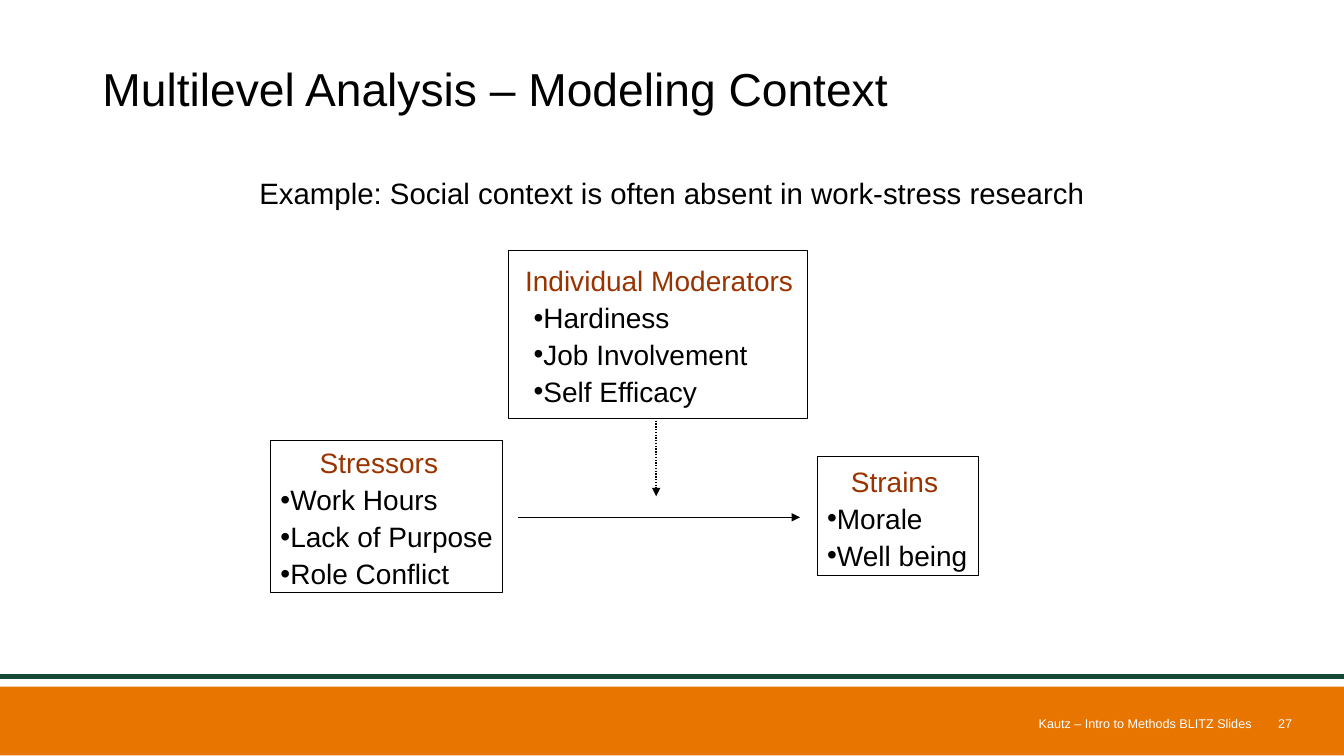
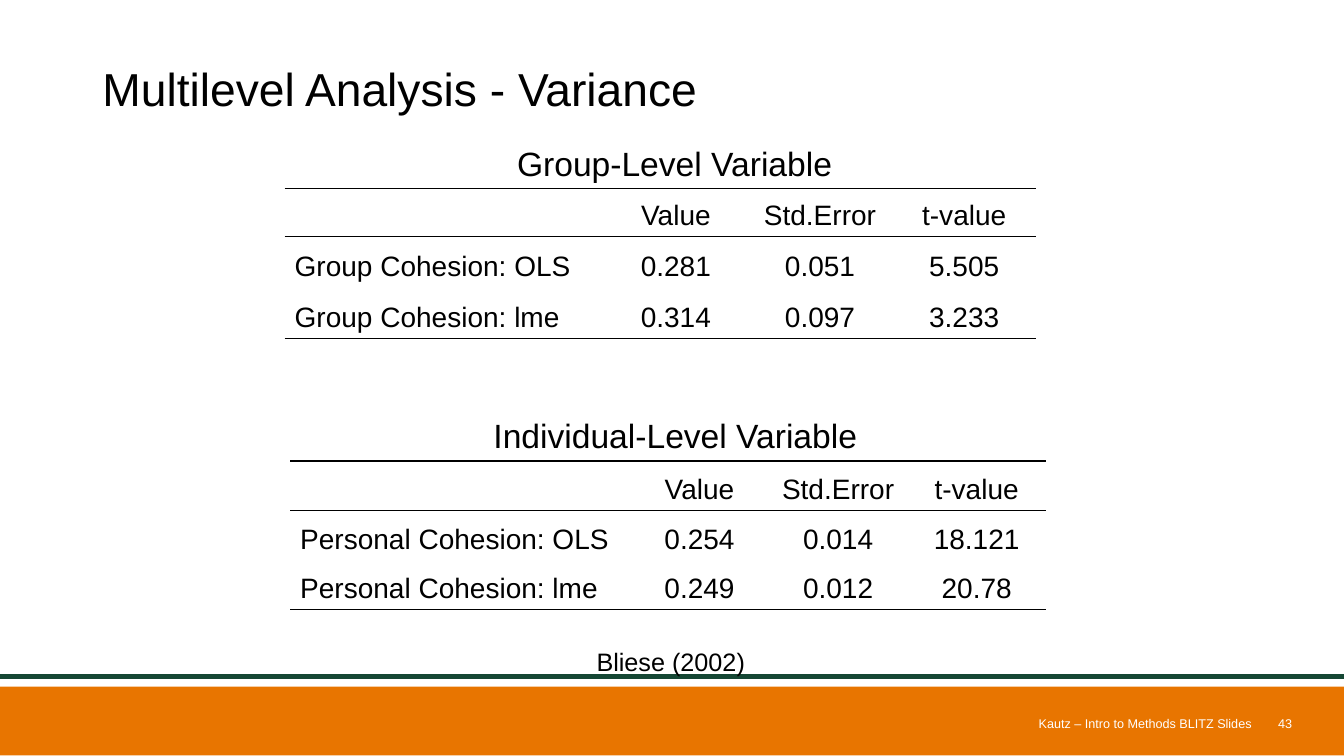
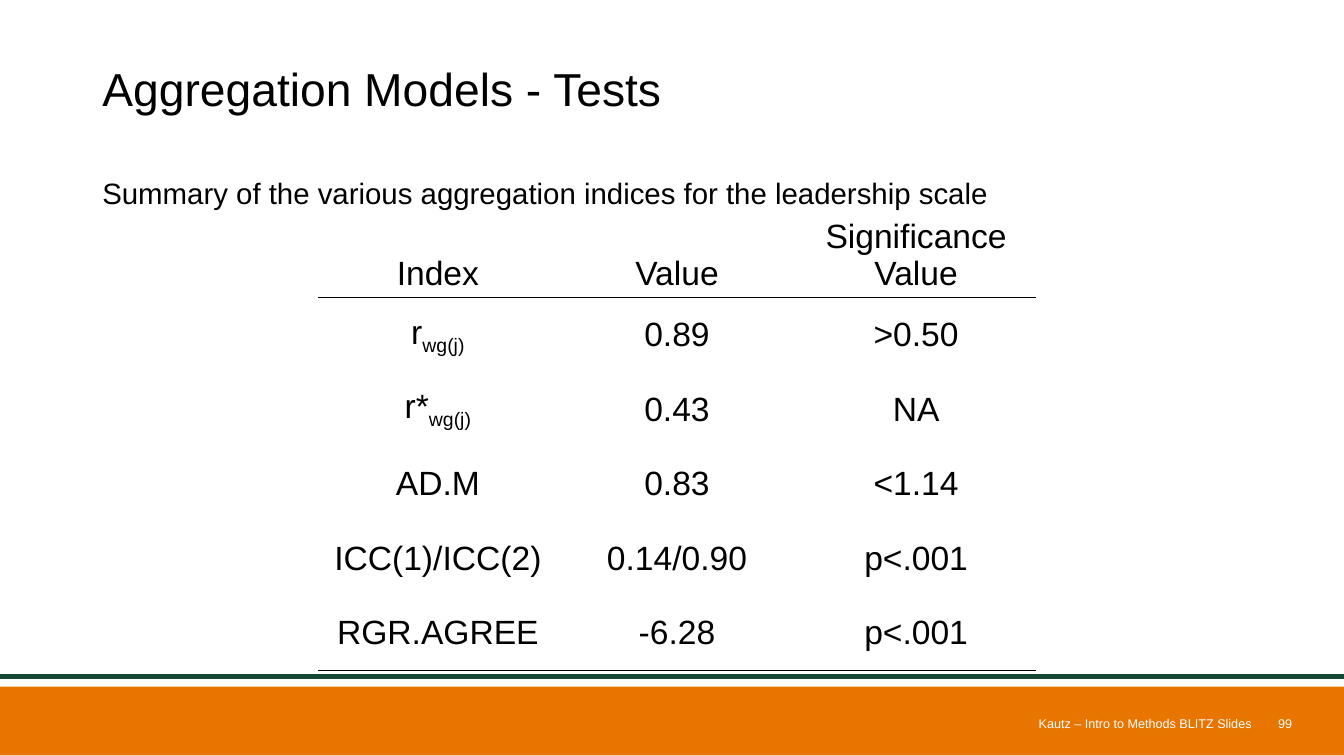
from dataclasses import dataclass

from lxml.etree import SubElement
from pptx import Presentation
from pptx.dml.color import RGBColor
from pptx.enum.dml import MSO_LINE
from pptx.enum.shapes import MSO_CONNECTOR, MSO_SHAPE
from pptx.enum.text import MSO_ANCHOR, MSO_AUTO_SIZE, PP_ALIGN
from pptx.oxml.ns import qn
from pptx.util import Pt


@dataclass(frozen=True)
class Theme:
    font: str = "Arial"
    ink: str = "000000"
    accent: str = "993300"
    band: str = "E87500"
    rule: str = "154734"
    on_band: str = "FFFFFF"
    title: float = 33
    caption: float = 24
    lead: float = 21
    body: float = 20
    citation: float = 18
    footer: float = 9


THEME = Theme()
WIDTH, HEIGHT = 960, 540
MARGIN = 66
CONTENT_WIDTH = WIDTH - 2 * MARGIN
BULLET_WIDTH = 7

FOOTER = "Kautz – Intro to Methods BLITZ Slides"

# heading, items, box, heading indent, item indent
MODEL = [
    ("Stressors", ["Work Hours", "Lack of Purpose", "Role Conflict"],
     (193.3, 314.6, 166, 108.7), 28, 0),
    ("Individual Moderators", ["Hardiness", "Job Involvement", "Self Efficacy"],
     (363, 178.7, 214, 120), 5, 11),
    ("Strains", ["Morale", "Well being"],
     (583.7, 326.2, 115, 85), 17, 0),
]
# start, end, dash
ARROWS = [
    ((468.7, 300.5), (468.7, 354.5), MSO_LINE.ROUND_DOT),
    ((370, 369.5), (571.5, 369.5), None),
]

STATISTICS = ["", "Value", "Std.Error", "t-value"]
VARIANCE = [
    dict(caption="Group-Level Variable", caption_box=(362.2, 98.6, 242, 36),
         rows=[STATISTICS,
               ["Group Cohesion: OLS", "0.281", "0.051", "5.505"],
               ["Group Cohesion: lme", "0.314", "0.097", "3.233"]],
         corner=(203.3, 134.5), widths=[228, 103, 103, 103], heights=[34.5, 36.5, 36.3]),
    dict(caption="Individual-Level Variable", caption_box=(345.4, 293.2, 276, 36),
         rows=[STATISTICS,
               ["Personal Cohesion: OLS", "0.254", "0.014", "18.121"],
               ["Personal Cohesion: lme", "0.249", "0.012", "20.78"]],
         corner=(207.2, 329.3), widths=[243, 99, 99, 99], heights=[35.4, 35.4, 35.4]),
]

# A tuple in a cell is a symbol and its subscript.
INDICES = [
    ["Index", "Value", "Significance Value"],
    [("r", "wg(j)"), "0.89", ">0.50"],
    [("r*", "wg(j)"), "0.43", "NA"],
    ["AD.M", "0.83", "<1.14"],
    ["ICC(1)/ICC(2)", "0.14/0.90", "p<.001"],
    ["RGR.AGREE", "-6.28", "p<.001"],
]


def points(*lengths):
    return [Pt(length) for length in lengths]


def add_run(paragraph, text, size, color=THEME.ink):
    run = paragraph.add_run()
    run.text = text
    run.font.name = THEME.font
    run.font.size = Pt(size)
    run.font.color.rgb = RGBColor.from_string(color)
    return run


def add_text(slide, box, text, size, color=THEME.ink, align=PP_ALIGN.LEFT,
             anchor=MSO_ANCHOR.TOP, wrap=True, spacing=1.0):
    label = slide.shapes.add_textbox(*points(*box))
    frame = label.text_frame
    frame.word_wrap = wrap
    frame.vertical_anchor = anchor
    paragraph = frame.paragraphs[0]
    paragraph.alignment = align
    paragraph.line_spacing = spacing
    add_run(paragraph, text, size, color)
    return label


def add_line(slide, start, end, color, width, dash=None, arrow=False):
    line = slide.shapes.add_connector(MSO_CONNECTOR.STRAIGHT, *points(*start, *end))
    line.line.color.rgb = RGBColor.from_string(color)
    line.line.width = Pt(width)
    if dash:
        line.line.dash_style = dash
    if arrow:
        SubElement(line.line._get_or_add_ln(), qn("a:tailEnd"), type="triangle")
    SubElement(line.element.spPr, qn("a:effectLst"))
    return line


def add_rect(slide, box):
    rect = slide.shapes.add_shape(MSO_SHAPE.RECTANGLE, *points(*box))
    rect.shadow.inherit = False
    return rect


def furnish_layout(layout, slide):
    """Draw the band, rule and footer on a slide, then hand them to its layout."""
    band = add_rect(slide, (0, 490.5, WIDTH, 49))
    band.fill.solid()
    band.fill.fore_color.rgb = RGBColor.from_string(THEME.band)
    band.line.fill.background()
    rule = add_line(slide, (0, 483.3), (WIDTH, 483.3), THEME.rule, 3)
    footer = add_text(slide, (318, 509, 576, 15), FOOTER, THEME.footer, THEME.on_band,
                      PP_ALIGN.RIGHT, MSO_ANCHOR.MIDDLE)
    footer.text_frame.margin_right = 0
    for part in (band, rule, footer):
        layout.shapes.element.append(part.element)


def add_slide(deck, title, number):
    layout = deck.slide_layouts[5]
    slide = deck.slides.add_slide(layout)
    if len(deck.slides) == 1:
        furnish_layout(layout, slide)
    heading = slide.shapes.title
    heading.left, heading.top, heading.width, heading.height = points(
        MARGIN, 19.5, CONTENT_WIDTH, 91.5)
    frame = heading.text_frame
    frame.auto_size = MSO_AUTO_SIZE.NONE
    frame.vertical_anchor = MSO_ANCHOR.MIDDLE
    paragraph = frame.paragraphs[0]
    paragraph.alignment = PP_ALIGN.LEFT
    paragraph.line_spacing = 0.9
    add_run(paragraph, title, THEME.title)
    add_text(slide, (894, 509, 36, 15), str(number), THEME.footer, THEME.on_band,
             PP_ALIGN.RIGHT, MSO_ANCHOR.MIDDLE)
    return slide


def add_lead(slide, text, align=PP_ALIGN.LEFT):
    add_text(slide, (MARGIN, 124.6, CONTENT_WIDTH, 30), text, THEME.lead,
             align=align, spacing=0.9)


def add_factor(slide, heading, items, box, heading_indent, item_indent):
    factor = add_rect(slide, box)
    factor.fill.background()
    factor.line.color.rgb = RGBColor.from_string(THEME.ink)
    factor.line.width = Pt(0.75)
    frame = factor.text_frame
    frame.word_wrap = False
    frame.vertical_anchor = MSO_ANCHOR.MIDDLE
    for index, text in enumerate([heading, *items]):
        paragraph = frame.paragraphs[0] if index == 0 else frame.add_paragraph()
        paragraph.alignment = PP_ALIGN.LEFT
        paragraph.line_spacing = 1.1
        properties = paragraph._p.get_or_add_pPr()
        if index == 0:
            properties.set("marL", str(Pt(heading_indent)))
        else:
            properties.set("marL", str(Pt(item_indent + BULLET_WIDTH)))
            properties.set("indent", str(-Pt(BULLET_WIDTH)))
            SubElement(properties, qn("a:buFont"), typeface=THEME.font)
            SubElement(properties, qn("a:buChar"), char="•")
        add_run(paragraph, text, THEME.body, THEME.ink if index else THEME.accent)


def set_borders(cell, ruled_sides):
    properties = cell._tc.get_or_add_tcPr()
    for side in "LRTB":
        ruled = side in ruled_sides
        border = SubElement(properties, qn(f"a:ln{side}"), w=str(Pt(1 if ruled else 0)))
        if ruled:
            fill = SubElement(border, qn("a:solidFill"))
            SubElement(fill, qn("a:srgbClr"), val=THEME.ink)
        else:
            SubElement(border, qn("a:noFill"))


def add_ruled_table(slide, rows, corner, widths, heights, size, body_anchor,
                    first_align, top_rule):
    """Add a table with rules only around its header and under its last row."""
    table = slide.shapes.add_table(
        len(rows), len(widths), *points(*corner, sum(widths), sum(heights))).table
    table.first_row = table.horz_banding = False
    for column, width in zip(table.columns, widths):
        column.width = Pt(width)
    last = len(rows) - 1
    for r, (row, height) in enumerate(zip(rows, heights)):
        table.rows[r].height = Pt(height)
        above = "T" if r == 1 or (r == 0 and top_rule) else ""
        below = "B" if r in (0, last) else ""
        for c, content in enumerate(row):
            cell = table.cell(r, c)
            set_borders(cell, above + below)
            cell.fill.background()
            cell.vertical_anchor = body_anchor if r else MSO_ANCHOR.BOTTOM
            if not content:
                continue
            paragraph = cell.text_frame.paragraphs[0]
            paragraph.alignment = PP_ALIGN.CENTER if c else first_align
            symbol, *subscript = content if isinstance(content, tuple) else (content,)
            add_run(paragraph, symbol, size)
            for text in subscript:
                run = add_run(paragraph, text, size)
                run._r.get_or_add_rPr().set("baseline", "-25000")


def build_context(deck):
    slide = add_slide(deck, "Multilevel Analysis – Modeling Context", 27)
    add_lead(slide, "Example: Social context is often absent in work-stress research",
             PP_ALIGN.CENTER)
    for factor in MODEL:
        add_factor(slide, *factor)
    for start, end, dash in ARROWS:
        add_line(slide, start, end, THEME.ink, 1, dash, arrow=True)


def build_variance(deck):
    slide = add_slide(deck, "Multilevel Analysis - Variance", 43)
    for level in VARIANCE:
        add_text(slide, level["caption_box"], level["caption"], THEME.caption, wrap=False)
        add_ruled_table(slide, level["rows"], level["corner"], level["widths"],
                        level["heights"], THEME.body, MSO_ANCHOR.BOTTOM,
                        PP_ALIGN.LEFT, top_rule=True)
    add_text(slide, (419, 458, 121.7, 28.8), "Bliese (2002)", THEME.citation, wrap=False)


def build_tests(deck):
    slide = add_slide(deck, "Aggregation Models - Tests", 99)
    add_lead(slide, "Summary of the various aggregation indices for the leadership scale")
    add_ruled_table(slide, INDICES, (227.4, 144.6), [170.8] * 3, [68.2] + [53.2] * 5,
                    THEME.caption, MSO_ANCHOR.MIDDLE, PP_ALIGN.CENTER, top_rule=False)


def main():
    deck = Presentation()
    deck.slide_width, deck.slide_height = points(WIDTH, HEIGHT)
    for build in (build_context, build_variance, build_tests):
        build(deck)
    deck.save("out.pptx")


if __name__ == "__main__":
    main()
